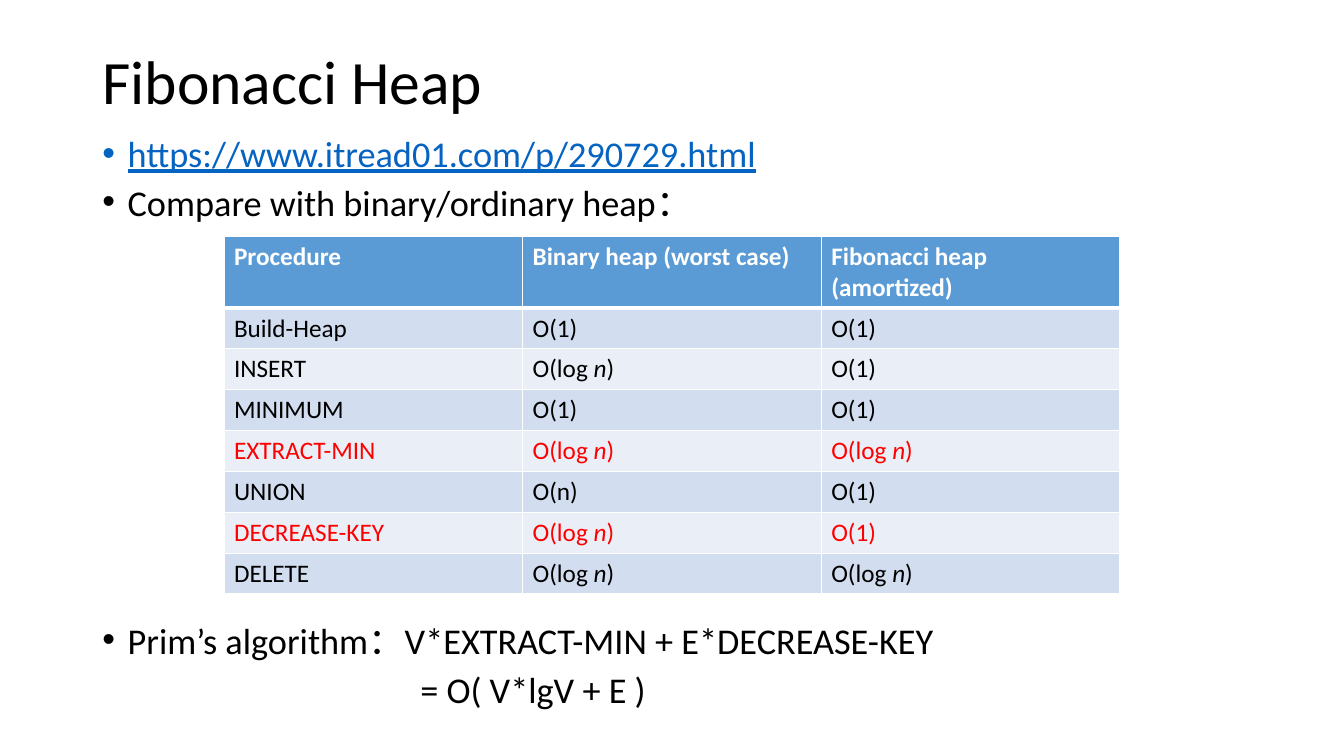
from lxml import etree
from pptx import Presentation
from pptx.dml.color import RGBColor
from pptx.enum import text
from pptx.oxml.ns import qn
from pptx.util import Pt

FONT = "Calibri"
COLORS = {
    "text": "000000",
    "link": "0563C1",
    "highlight": "FF0000",
    "white": "FFFFFF",
    "header": "5B9BD5",
    "dark band": "D2DEEF",
    "light band": "EAEFF7",
}
LOG = "O(log n)"
HEAP_COSTS = [
    ("Procedure", "Binary heap (worst case)", "Fibonacci heap (amortized)"),
    ("Build-Heap", "O(1)", "O(1)"),
    ("INSERT", LOG, "O(1)"),
    ("MINIMUM", "O(1)", "O(1)"),
    ("EXTRACT-MIN", LOG, LOG),
    ("UNION", "O(n)", "O(1)"),
    ("DECREASE-KEY", LOG, "O(1)"),
    ("DELETE", LOG, LOG),
]
HIGHLIGHTED = {"EXTRACT-MIN", "DECREASE-KEY"}
# text, colour, space before, left indent, bulleted
BODY_LINES = [
    ("https://www.itread01.com/p/290729.html", "link", 0, 18, True),
    ("Compare with binary/ordinary heap：", "text", 10, 18, True),
    ("Prim’s algorithm：V*EXTRACT-MIN + E*DECREASE-KEY", "text", 288, 18, True),
    ("= O( V*lgV + E )", "text", 10, 227, False),
]


def color(name):
    return RGBColor.from_string(COLORS[name])


def format_runs(paragraph, size, color_name, bold=False):
    for run in paragraph.runs:
        run.font.name = FONT
        run.font.size = Pt(size)
        run.font.bold = bold
        run.font.color.rgb = color(color_name)


def place(shape, left, top, width, height):
    shape.left, shape.top = Pt(left), Pt(top)
    shape.width, shape.height = Pt(width), Pt(height)


def set_bullet(paragraph, indent, bulleted):
    properties = paragraph._p.get_or_add_pPr()
    properties.set("marL", str(Pt(indent)))
    properties.set("indent", str(Pt(-18 if bulleted else 0)))
    if bulleted:
        etree.SubElement(properties, qn("a:buFont"), typeface="Arial")
        etree.SubElement(properties, qn("a:buChar"), char="•")
    else:
        etree.SubElement(properties, qn("a:buNone"))


def fill_title(title):
    place(title, 66, 8, 828, 104.4)
    frame = title.text_frame
    frame.text = "Fibonacci Heap"
    frame.auto_size = text.MSO_AUTO_SIZE.NONE
    frame.vertical_anchor = text.MSO_ANCHOR.MIDDLE
    paragraph = frame.paragraphs[0]
    paragraph.alignment = text.PP_ALIGN.LEFT
    paragraph.line_spacing = 0.9
    format_runs(paragraph, 44, "text")


def fill_body(body):
    place(body, 66, 96, 828, 430)
    frame = body.text_frame
    frame.text = "\n".join(line[0] for line in BODY_LINES)
    frame.auto_size = text.MSO_AUTO_SIZE.NONE
    for paragraph, line in zip(frame.paragraphs, BODY_LINES):
        _, color_name, space_before, indent, bulleted = line
        set_bullet(paragraph, indent, bulleted)
        paragraph.line_spacing = 0.8
        paragraph.space_before = Pt(space_before)
        format_runs(paragraph, 25.9, color_name)
    frame.paragraphs[0].runs[0].font.underline = True


def set_borders(cell, widths):
    """Draw white borders; widths maps each side (L, R, T, B) to points."""
    properties = cell._tc.get_or_add_tcPr()
    for side, width in widths.items():
        line = etree.SubElement(properties, qn(f"a:ln{side}"), w=str(Pt(width)))
        fill = etree.SubElement(line, qn("a:solidFill"))
        etree.SubElement(fill, qn("a:srgbClr"), val=COLORS["white"])


def fill_cell(cell, content, fill_name, color_name, bold, widths):
    set_borders(cell, widths)
    cell.fill.solid()
    cell.fill.fore_color.rgb = color(fill_name)
    paragraph = cell.text_frame.paragraphs[0]
    if content == LOG:
        for part in ("O(log ", "n", ")"):
            run = paragraph.add_run()
            run.text = part
            run.font.italic = part == "n"
    else:
        paragraph.text = content
    format_runs(paragraph, 18, color_name, bold)


def add_cost_table(slide):
    rows, columns = len(HEAP_COSTS), len(HEAP_COSTS[0])
    row_height = 29.2
    table = slide.shapes.add_table(
        rows, columns, Pt(160), Pt(168.8), Pt(640), Pt(rows * row_height)
    ).table
    for row_index, values in enumerate(HEAP_COSTS):
        table.rows[row_index].height = Pt(row_height)
        is_header = row_index == 0
        widths = {
            "L": 1,
            "R": 1,
            "T": 3 if row_index == 1 else 1,
            "B": 3 if is_header else 1,
        }
        if is_header:
            fill_name, color_name = "header", "white"
        else:
            fill_name = "dark band" if row_index % 2 else "light band"
            color_name = "highlight" if values[0] in HIGHLIGHTED else "text"
        for column_index, content in enumerate(values):
            cell = table.cell(row_index, column_index)
            fill_cell(cell, content, fill_name, color_name, is_header, widths)


def main():
    presentation = Presentation()
    presentation.slide_width, presentation.slide_height = Pt(960), Pt(540)
    slide = presentation.slides.add_slide(presentation.slide_layouts[1])
    fill_title(slide.shapes.title)
    fill_body(slide.placeholders[1])
    add_cost_table(slide)
    presentation.save("out.pptx")


if __name__ == "__main__":
    main()
